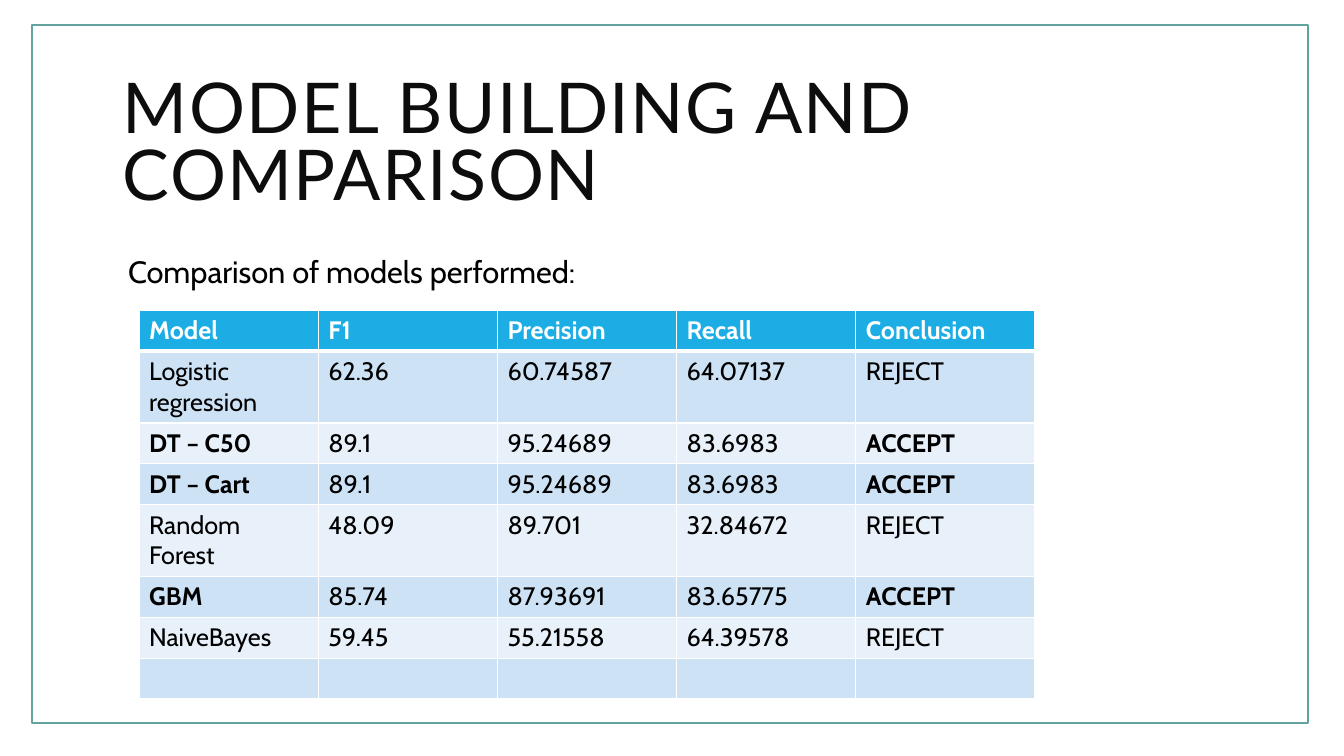
"""Build the model comparison slide."""
from dataclasses import dataclass

from lxml import etree
from pptx import Presentation
from pptx.dml.color import RGBColor
from pptx.enum.shapes import MSO_SHAPE
from pptx.enum.text import MSO_ANCHOR, MSO_AUTO_SIZE, PP_ALIGN
from pptx.oxml.ns import qn
from pptx.util import Pt

RECT = MSO_SHAPE.RECTANGLE
TOP, MIDDLE = MSO_ANCHOR.TOP, MSO_ANCHOR.MIDDLE
NO_FIT = MSO_AUTO_SIZE.NONE
LEFT = PP_ALIGN.LEFT


@dataclass(frozen=True)
class Theme:
    """Colours, fonts and type sizes of the slide."""
    white: str = "FFFFFF"
    ink: str = "000000"
    title: str = "0D0D0D"
    frame: str = "62A39F"
    accent: str = "1CADE4"
    bands: tuple = ("CDE3F5", "E8F1FA")
    title_font: str = "Lato"
    body_font: str = "Cabin"
    title_size: float = 50
    body_size: float = 22
    table_size: float = 18


THEME = Theme()
HEADER = ("Model", "F1", "Precision", "Recall", "Conclusion")
MODELS = (
    ("Logistic regression", "62.36", "60.74587", "64.07137", "REJECT"),
    ("DT – C50", "89.1", "95.24689", "83.6983", "ACCEPT"),
    ("DT – Cart", "89.1", "95.24689", "83.6983", "ACCEPT"),
    ("Random Forest", "48.09", "89.701", "32.84672", "REJECT"),
    ("GBM", "85.74", "87.93691", "83.65775", "ACCEPT"),
    ("NaiveBayes", "59.45", "55.21558", "64.39578", "REJECT"),
    ("",) * len(HEADER),
)


def set_attrs(obj, values):
    """Set each named attribute of an object."""
    for name, value in values.items():
        setattr(obj, name, value)


def add_run(p, text, font, size, color, bold=False):
    """Add one formatted run to a paragraph."""
    r = p.add_run()
    r.text = text
    set_attrs(r.font, {"name": font, "size": Pt(size), "bold": bold})
    r.font.color.rgb = RGBColor.from_string(color)
    return r


def add_color(parent, tag, color):
    """Append a colour element to an XML parent."""
    node = etree.SubElement(parent, qn(tag))
    etree.SubElement(node, qn("a:srgbClr"), val=color)


def add_frame(s, left, top, width, height):
    """Draw the thin frame behind everything else."""
    sp = s.shapes.add_shape(RECT, Pt(left), Pt(top), Pt(width), Pt(height))
    sp.shadow.inherit = False
    sp.fill.solid()
    sp.fill.fore_color.rgb = RGBColor.from_string(THEME.white)
    sp.line.color.rgb = RGBColor.from_string(THEME.frame)
    sp.line.width = Pt(1.25)
    s.shapes.element.insert(2, sp.element)


def place_text(sp, left, top, width, height, frame_format, para_format):
    """Move a placeholder and format its frame and first paragraph."""
    set_attrs(sp, {"left": Pt(left), "top": Pt(top),
                   "width": Pt(width), "height": Pt(height)})
    tf = sp.text_frame
    set_attrs(tf, {"word_wrap": True, "auto_size": NO_FIT, **frame_format})
    p = tf.paragraphs[0]
    set_attrs(p, {"alignment": LEFT, **para_format})
    return p


def add_title(s, text):
    """Fill the title placeholder."""
    p = place_text(s.shapes.title, 80.64, 46.08, 765.36, 118.08,
                   {"vertical_anchor": MIDDLE}, {"line_spacing": 0.8})
    r = add_run(p, text, THEME.title_font, THEME.title_size, THEME.title)
    r.font.element.set("spc", "100") if hasattr(r.font, "element") else \
        r._r.get_or_add_rPr().set("spc", "100")


def add_body(s, text):
    """Fill the body placeholder with a blank-bulleted line."""
    sides = ("left", "top", "right", "bottom")
    p = place_text(s.placeholders[1], 80.64, 180, 765.36, 316.8,
                   {"vertical_anchor": TOP,
                    **{f"margin_{side}": Pt(3.6) for side in sides}},
                   {"line_spacing": 0.9, "space_before": Pt(12),
                    "space_after": Pt(2)})
    pPr = p._p.get_or_add_pPr()
    pPr.set("marL", str(Pt(7.2)))
    pPr.set("indent", str(Pt(-7.2)))
    add_color(pPr, "a:buClr", THEME.accent)
    etree.SubElement(pPr, qn("a:buChar"), char=" ")
    add_run(p, text, THEME.body_font, THEME.body_size, THEME.ink)


def set_borders(cell, top, bottom):
    """Give a cell white borders, with its own top and bottom widths."""
    tcPr = cell._tc.get_or_add_tcPr()
    for i, (side, width) in enumerate(
            (("L", 1), ("R", 1), ("T", top), ("B", bottom))):
        ln = etree.Element(qn(f"a:ln{side}"), w=str(Pt(width)))
        add_color(ln, "a:solidFill", THEME.white)
        tcPr.insert(i, ln)


def add_model_table(s, left, top, col_width, row_height):
    """Draw the banded table of model scores."""
    rows = (HEADER, *MODELS)
    table = s.shapes.add_table(
        len(rows), len(HEADER), Pt(left), Pt(top),
        Pt(col_width * len(HEADER)), Pt(row_height * len(rows))).table
    table.horz_banding = False
    for i, values in enumerate(rows):
        is_header = i == 0
        fill = THEME.accent if is_header else THEME.bands[(i - 1) % 2]
        color = THEME.white if is_header else THEME.ink
        accepted = values[-1] == "ACCEPT"
        for j, text in enumerate(values):
            cell = table.cell(i, j)
            cell.fill.solid()
            cell.fill.fore_color.rgb = RGBColor.from_string(fill)
            set_borders(cell, 3 if i == 1 else 1, 3 if is_header else 1)
            if text:
                bold = is_header or accepted and j in (0, len(HEADER) - 1)
                add_run(cell.text_frame.paragraphs[0], text,
                        THEME.body_font, THEME.table_size, color, bold)


def main():
    """Build and save the slide."""
    prs = Presentation()
    set_attrs(prs, {"slide_width": Pt(960), "slide_height": Pt(540)})
    s = prs.slides.add_slide(prs.slide_layouts[1])
    add_frame(s, 23.04, 18, 911.52, 498.24)
    add_title(s, "MODEL BUILDING AND COMPARISON")
    add_body(s, "Comparison of models performed:")
    add_model_table(s, 99.36, 221.76, 128, 29.2)
    prs.save("out.pptx")


if __name__ == "__main__":
    main()
